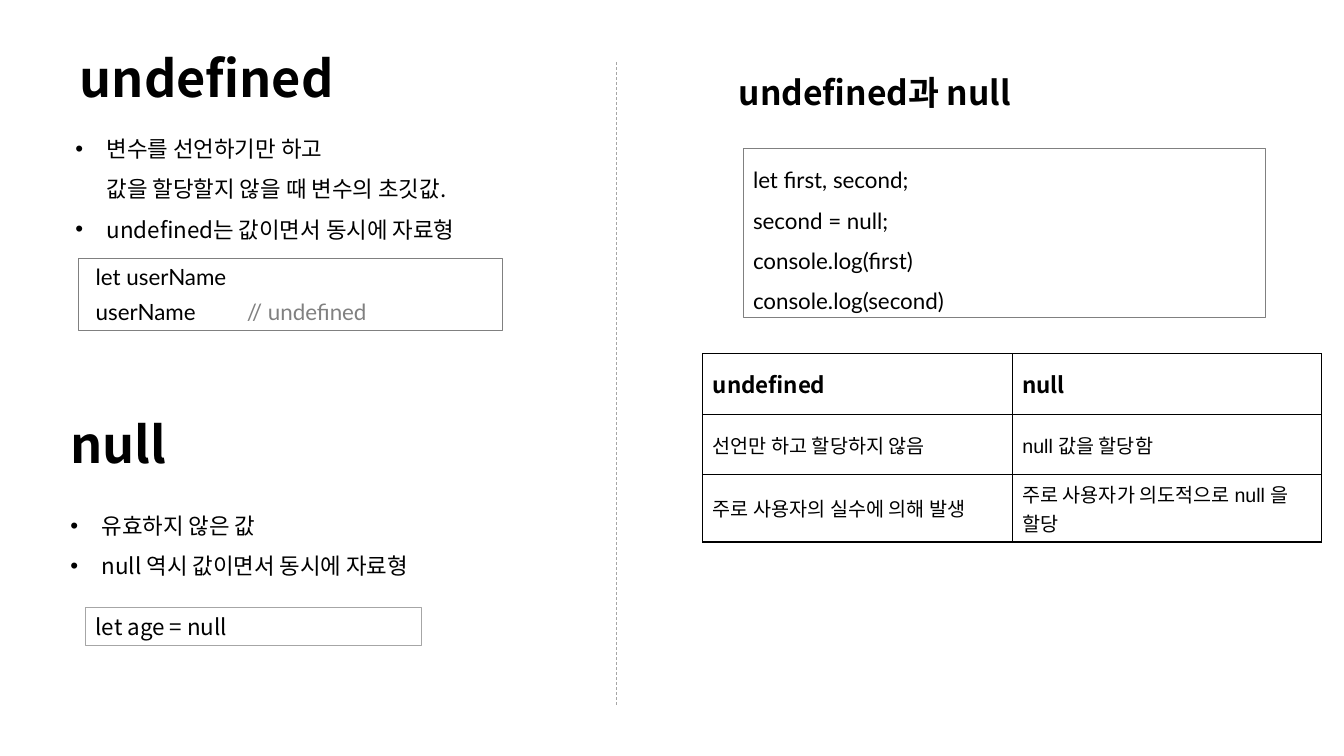
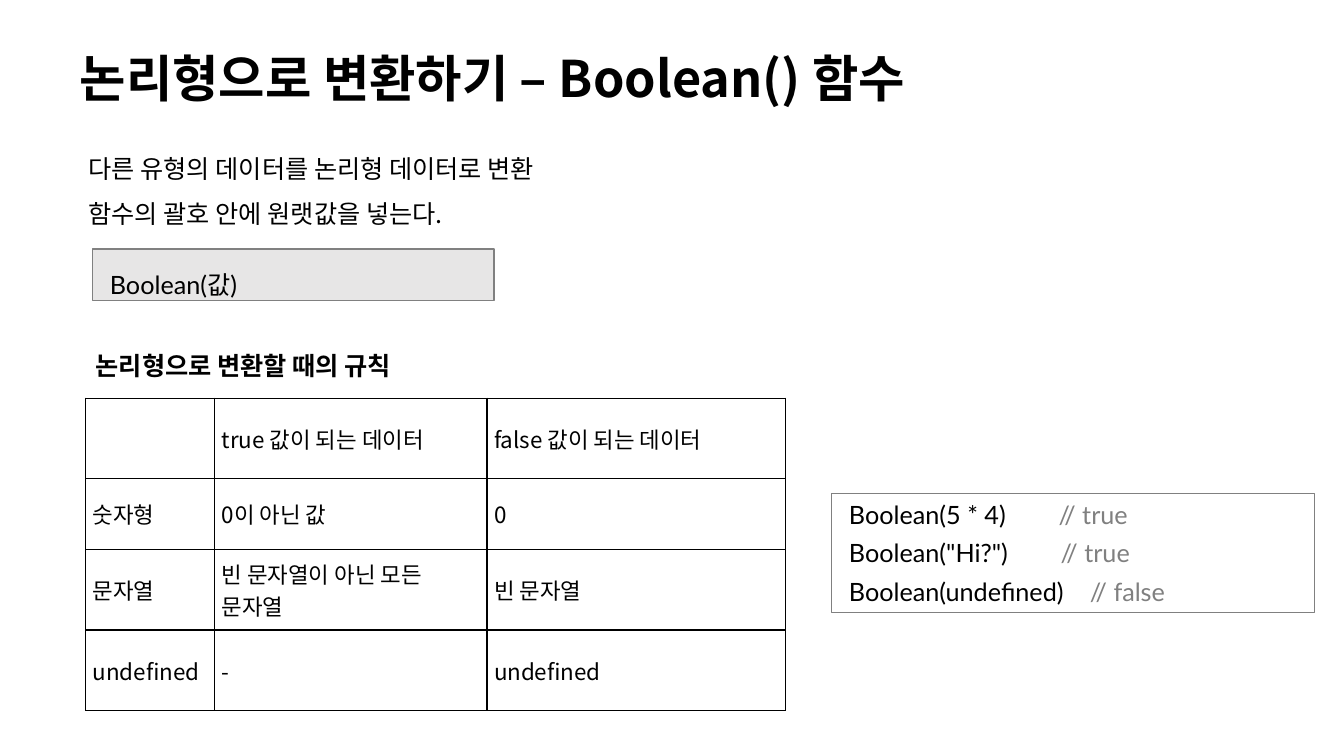
from copy import deepcopy
from dataclasses import dataclass

from lxml import etree
from pptx import Presentation
from pptx.dml.color import RGBColor
from pptx.enum.dml import MSO_LINE
from pptx.enum.shapes import MSO_CONNECTOR, MSO_SHAPE
from pptx.enum.text import MSO_ANCHOR, MSO_AUTO_SIZE, PP_ALIGN
from pptx.oxml.ns import qn
from pptx.util import Inches, Pt

TOP, MIDDLE = MSO_ANCHOR.TOP, MSO_ANCHOR.MIDDLE
LEFT = PP_ALIGN.LEFT
RECTANGLE = MSO_SHAPE.RECTANGLE
STRAIGHT = MSO_CONNECTOR.STRAIGHT
DASH = MSO_LINE.DASH
NO_AUTOFIT = MSO_AUTO_SIZE.NONE
TITLE_ONLY = 5


@dataclass(frozen=True)
class Theme:
    ink: RGBColor = RGBColor(0, 0, 0)
    muted: RGBColor = RGBColor(0x80, 0x80, 0x80)
    pale: RGBColor = RGBColor(0xA6, 0xA6, 0xA6)
    panel: RGBColor = RGBColor(0xE7, 0xE6, 0xE6)
    sans: str = "Noto Sans CJK KR"
    code: str = "Lato"
    plain: str = "Arial"
    title: int = 36
    heading: int = 24
    large: int = 18
    body: int = 16
    small: int = 14


THEME = Theme()
TITLE = dict(size=THEME.title, bold=True, spacing=0.9, anchor=MIDDLE)
HEADING = dict(size=THEME.heading, bold=True)
SUBHEADING = dict(size=THEME.large, bold=True)
BULLETS = dict(size=THEME.body, spacing=1.5, bullet=True)
LEAD = dict(size=THEME.large, spacing=1.5)
ANSWER = dict(size=THEME.body, edge=THEME.pale)
LISTING = dict(size=THEME.body, font=THEME.code, spacing=1.5, edge=THEME.muted)
SNIPPET = dict(size=THEME.body, font=THEME.code, gap=3, inset=0.17, edge=THEME.muted)
EXAMPLE = {**SNIPPET, "size": THEME.large}
SYNTAX = {**EXAMPLE, "spacing": 1.5, "fill": THEME.panel}
TABLE_HEAD = dict(size=THEME.body, bold=True)
TABLE_BODY = dict(size=THEME.small, font=THEME.plain)
TABLE_RULES = dict(size=THEME.body)

TITLE_PLACE = (0.69, 0.35, 9.74, 0.92)

PAGES = [
    {
        "title": "undefined",
        "boxes": [
            ((0.65, 1.16, 4.33, 1.26), BULLETS, [
                "변수를 선언하기만 하고 \v값을 할당할지 않을 때 변수의 초깃값.",
                "undefined는 값이면서 동시에 자료형",
            ]),
            ((0.78, 2.56, 4.2, 0.72), SNIPPET, [
                "let userName",
                ("userName", "// undefined", 1.5),
            ]),
            ((0.6, 3.98, 4.43, 0.92), TITLE, ["null"]),
            ((0.6, 4.9, 4.83, 0.86), BULLETS, [
                "유효하지 않은 값",
                "null 역시 값이면서 동시에 자료형",
            ]),
            ((0.85, 6.03, 3.33, 0.37), ANSWER, ["let age = null"]),
            ((7.23, 0.66, 4.9, 0.5), HEADING, ["undefined과 null"]),
            ((7.37, 1.47, 5.18, 1.68), LISTING, [
                "let first, second;",
                "second = null;",
                "console.log(first)",
                "console.log(second)",
            ]),
        ],
        "divider": (6.11, 0.62, 6.11, 7.01),
        "table": {
            "place": (6.97, 3.51),
            "columns": [3.07, 3.07],
            "heights": [0.6, 0.6, 0.66],
            "margins": (0.1, 0.05),
            "head": TABLE_HEAD,
            "body": TABLE_BODY,
            "rows": [
                ("undefined", "null"),
                ("선언만 하고 할당하지 않음", "null 값을 할당함"),
                ("주로 사용자의 실수에 의해 발생", "주로 사용자가 의도적으로 null 을 할당"),
            ],
        },
    },
    {
        "title": "논리형으로 변환하기 – Boolean() 함수",
        "boxes": [
            ((0.78, 1.32, 5.46, 0.96), LEAD, [
                "다른 유형의 데이터를 논리형 데이터로 변환",
                "함수의 괄호 안에 원랫값을 넣는다.",
            ]),
            ((0.92, 2.47, 3.98, 0.51), SYNTAX, ["Boolean(값)"]),
            ((0.85, 3.43, 3.95, 0.4), SUBHEADING, ["논리형으로 변환할 때의 규칙"]),
            ((8.25, 4.9, 4.79, 1.18), EXAMPLE, [
                ("Boolean(5 * 4)", "// true", 2.08),
                ('Boolean("Hi?")', "// true", 2.1),
                ("Boolean(undefined)", "// false", 2.39),
            ]),
        ],
        "table": {
            "place": (0.85, 3.95),
            "columns": [1.28, 2.7, 2.96],
            "heights": [0.8, 0.7, 0.8, 0.8],
            "margins": (0.07, 0),
            "head": TABLE_RULES,
            "body": TABLE_RULES,
            "rows": [
                ("", "true 값이 되는 데이터", "false 값이 되는 데이터"),
                ("숫자형", "0이 아닌 값", "0"),
                ("문자열", "빈 문자열이 아닌 모든 문자열", "빈 문자열"),
                ("undefined", "-", "undefined"),
            ],
        },
    },
]


def set_values(target, values):
    for name, value in values.items():
        setattr(target, name, value)


def add_span(para, text, style, color):
    span = para.add_run()
    span.text = text
    set_values(span.font, {
        "size": Pt(style["size"]),
        "name": style.get("font", THEME.sans),
        "bold": style.get("bold", False),
    })
    span.font.color.rgb = color
    etree.SubElement(span._r.rPr, qn("a:ea"), typeface=THEME.sans)


def write_line(para, line, style):
    code, comment, stop = line if isinstance(line, tuple) else (line, "", 0)
    set_values(para, {
        "alignment": LEFT,
        "line_spacing": style.get("spacing", 1.0),
        "space_before": Pt(style.get("gap", 0)),
        "space_after": Pt(style.get("gap", 0)),
    })
    properties = para._p.get_or_add_pPr()
    if style.get("bullet"):
        properties.set("marL", str(Inches(0.31)))
        properties.set("indent", str(Inches(-0.31)))
        etree.SubElement(properties, qn("a:buFont"), typeface=THEME.plain)
        etree.SubElement(properties, qn("a:buChar"), char="•")
    if comment:
        stops = etree.SubElement(properties, qn("a:tabLst"))
        etree.SubElement(stops, qn("a:tab"), pos=str(Inches(stop)), algn="l")
        code += "\t"
    for index, part in enumerate(code.split("\v")):
        if index:
            para.add_line_break()
        if part:
            add_span(para, part, style, THEME.ink)
    for line_break in para._p.findall(qn("a:br")):
        line_break.append(deepcopy(para.runs[0]._r.rPr))
    if comment:
        add_span(para, comment, style, THEME.muted)


def write_lines(frame, lines, style):
    for index, line in enumerate(lines):
        para = frame.add_paragraph() if index else frame.paragraphs[0]
        write_line(para, line, style)


def fill_box(box, lines, style):
    set_values(box.text_frame, {
        "word_wrap": True,
        "auto_size": NO_AUTOFIT,
        "vertical_anchor": style.get("anchor", TOP),
        "margin_left": Inches(style.get("inset", 0.1)),
        "margin_right": Inches(0.1),
        "margin_top": Inches(0.05),
        "margin_bottom": Inches(0.05),
    })
    write_lines(box.text_frame, lines, style)


def add_box(page, place, style, lines):
    place = [Inches(value) for value in place]
    if "edge" in style:
        box = page.shapes.add_shape(RECTANGLE, *place)
        box.shadow.inherit = False
        box.line.color.rgb = style["edge"]
        box.line.width = Pt(0.75)
        if "fill" in style:
            box.fill.solid()
            box.fill.fore_color.rgb = style["fill"]
        else:
            box.fill.background()
    else:
        box = page.shapes.add_textbox(*place)
    fill_box(box, lines, style)


def add_title(page, text):
    title = page.shapes.title
    places = [Inches(value) for value in TITLE_PLACE]
    set_values(title, dict(zip(("left", "top", "width", "height"), places)))
    fill_box(title, [text], TITLE)


def add_divider(page, ends):
    divider = page.shapes.add_connector(STRAIGHT, *[Inches(value) for value in ends])
    set_values(divider.line, {"width": Pt(0.5), "dash_style": DASH})
    divider.line.color.rgb = THEME.pale
    etree.SubElement(divider._element.spPr, qn("a:effectLst"))


def add_borders(cell):
    properties = cell._tc.get_or_add_tcPr()
    for index, side in enumerate(("lnL", "lnR", "lnT", "lnB")):
        border = etree.Element(qn(f"a:{side}"), w=str(Pt(1)))
        fill = etree.SubElement(border, qn("a:solidFill"))
        etree.SubElement(fill, qn("a:srgbClr"), val=str(THEME.ink))
        properties.insert(index, border)


def add_grid(page, data):
    columns, heights, rows = data["columns"], data["heights"], data["rows"]
    size = (sum(columns), sum(heights))
    place = [Inches(value) for value in (*data["place"], *size)]
    table = page.shapes.add_table(len(rows), len(columns), *place).table
    set_values(table, {"first_row": False, "horz_banding": False})
    for column, width in zip(table.columns, columns):
        column.width = Inches(width)
    side, edge = [Inches(value) for value in data["margins"]]
    for index, (row, texts) in enumerate(zip(table.rows, rows)):
        row.height = Inches(heights[index])
        style = data["body"] if index else data["head"]
        for cell, text in zip(row.cells, texts):
            set_values(cell, {
                "vertical_anchor": MIDDLE,
                "margin_left": side,
                "margin_right": side,
                "margin_top": edge,
                "margin_bottom": edge,
            })
            cell.fill.background()
            add_borders(cell)
            write_lines(cell.text_frame, [text], style)


def main():
    deck = Presentation()
    deck.slide_width, deck.slide_height = Inches(13.33), Inches(7.5)
    for content in PAGES:
        page = deck.slides.add_slide(deck.slide_layouts[TITLE_ONLY])
        add_title(page, content["title"])
        for place, style, lines in content["boxes"]:
            add_box(page, place, style, lines)
        if "divider" in content:
            add_divider(page, content["divider"])
        add_grid(page, content["table"])
    deck.save("out.pptx")


if __name__ == "__main__":
    main()
